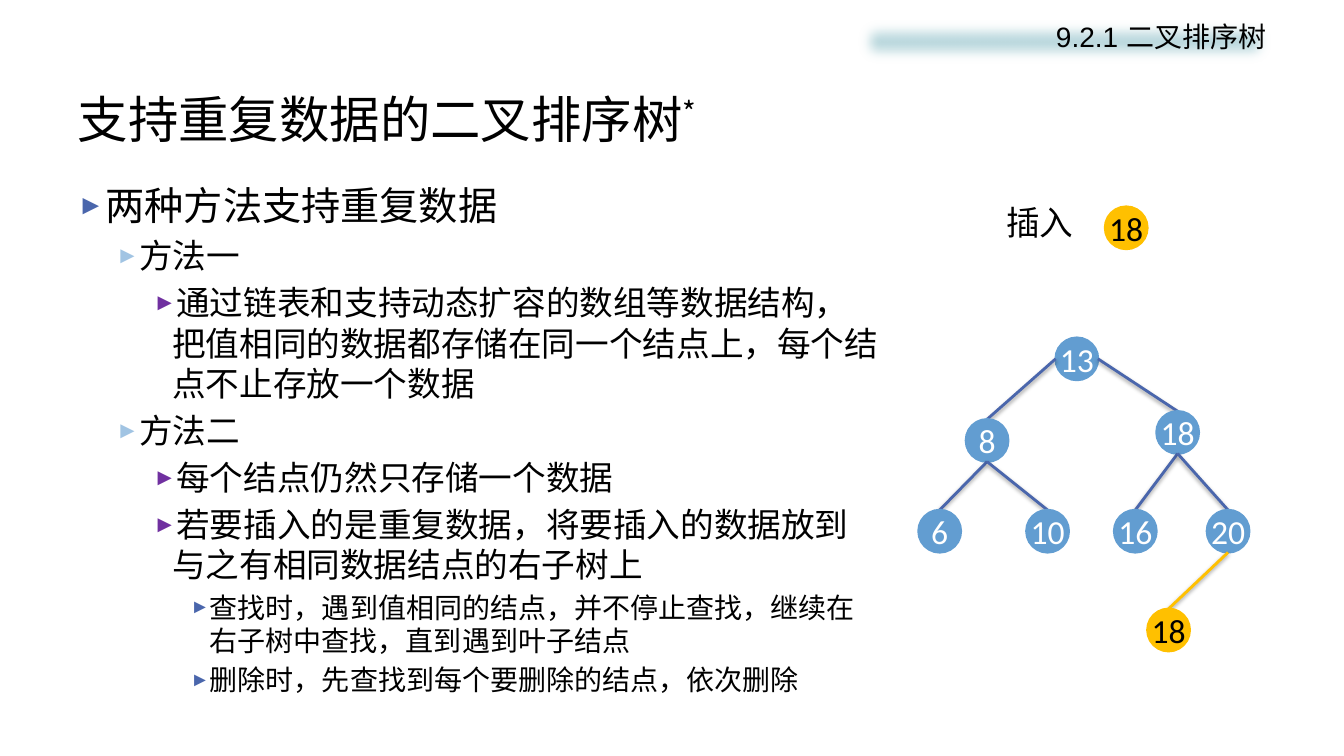
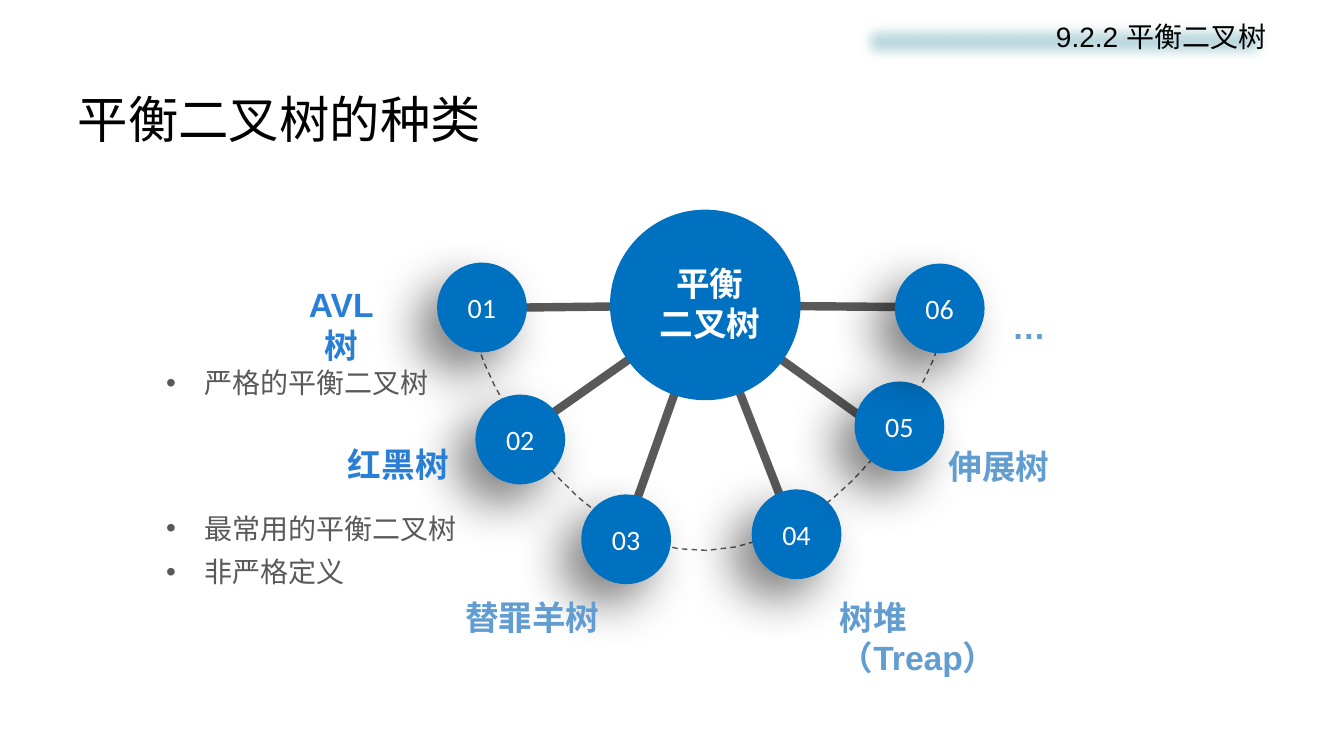
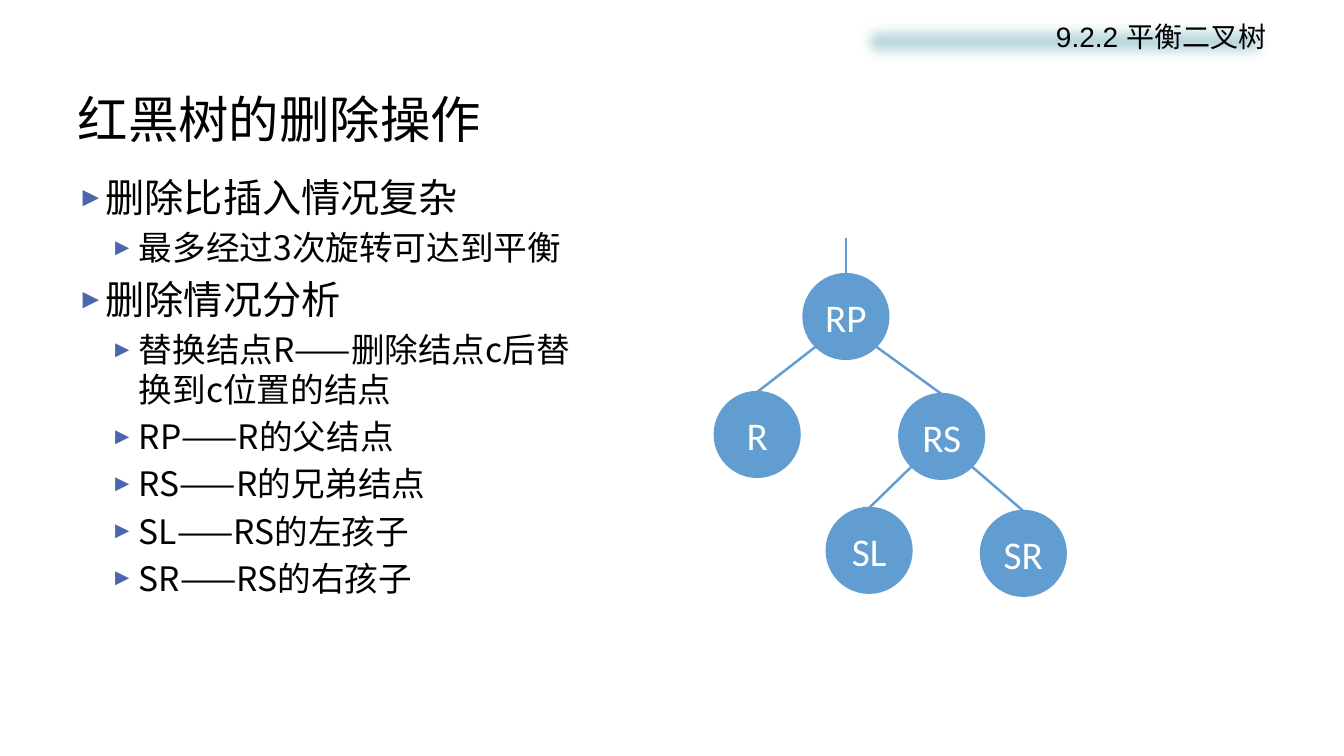
import math

import lxml.etree
import pptx
import pptx.dml.color
import pptx.enum.dml
import pptx.enum.shapes
import pptx.enum.text
import pptx.oxml.ns
import pptx.util

Inches, Pt = pptx.util.Inches, pptx.util.Pt
ALIGN = pptx.enum.text.PP_ALIGN
ANCHOR = pptx.enum.text.MSO_ANCHOR
SHAPE = pptx.enum.shapes.MSO_SHAPE
qn = pptx.oxml.ns.qn

HEX = {
    "ink": "000000", "white": "FFFFFF", "band": "BDDADF", "edge": "4A66AC",
    "node": "629DD1", "pale": "A1C4E3", "plum": "7030A0", "gold": "FFC000",
    "hub": "0070C0", "grey": "595959", "link": "297FD5",
}
SANS, CJK, ROUND = "Arial", "Noto Sans CJK SC", "Calibri"

# Shadows: alpha in percent, blur and distance in points, angle in degrees
SOFT = (38, 3.1, 1.6, 90)
DEEP = (50, 35, 20, 135)

# Outline levels: left indent, hang, text size, bullet colour
FOUR = [(0.28, 0.28, 28, "edge"), (0.61, 0.23, 24, "pale"),
        (0.94, 0.19, 24, "plum"), (1.31, 0.19, 20, "edge")]
TWO = [(0.28, 0.28, 28, "edge"), (0.61, 0.28, 24, "edge")]


# --- Basic parts ---

def rgb(name):
    return pptx.dml.color.RGBColor.from_string(HEX[name])


def add(parent, tag, **attrs):
    item = lxml.etree.SubElement(parent, qn(tag))
    for key, value in attrs.items():
        item.set(key, str(value))
    return item


def effects(shape):
    props = shape._element.spPr
    found = props.find(qn("a:effectLst"))
    return add(props, "a:effectLst") if found is None else found


def shade(shape, shadow):
    alpha, blur, dist, angle = shadow
    item = add(effects(shape), "a:outerShdw", blurRad=int(Pt(blur)),
               dist=int(Pt(dist)), dir=angle * 60000, rotWithShape=0)
    colour = add(item, "a:srgbClr", val=HEX["ink"])
    add(colour, "a:alpha", val=alpha * 1000)


def style(para, size, colour, face, bold=False, align=ALIGN.LEFT):
    para.alignment = align
    font = para.font
    font.size, font.name, font.bold = Pt(size), face, bold
    font.color.rgb = rgb(colour)
    add(para._p.pPr.find(qn("a:defRPr")), "a:ea", typeface=CJK)


def bullet(para, mark, left, hang, colour, scale):
    props = para._p.get_or_add_pPr()
    props.set("marL", str(int(Inches(left))))
    props.set("indent", str(int(-Inches(hang))))
    add(add(props, "a:buClr"), "a:srgbClr", val=HEX[colour])
    add(props, "a:buSzPct", val=scale * 1000)
    add(props, "a:buFont", typeface=SANS)
    add(props, "a:buChar", char=mark)


def lines(frame, texts):
    """Yield one paragraph per text."""
    for i, text in enumerate(texts):
        para = frame.add_paragraph() if i else frame.paragraphs[0]
        para.text = text
        yield para


def textbox(slide, box):
    frame = slide.shapes.add_textbox(*map(Inches, box)).text_frame
    frame.word_wrap = True
    return frame


def label(slide, box, texts, colour, face=SANS, bold=True, align=ALIGN.LEFT):
    for para in lines(textbox(slide, box), texts):
        style(para, 24, colour, face, bold, align)


def solid(slide, kind, box, fill, line=None):
    shape = slide.shapes.add_shape(kind, *map(Inches, box))
    shape.shadow.inherit = False
    shape.fill.solid()
    shape.fill.fore_color.rgb = rgb(fill)
    if line:
        shape.line.color.rgb = rgb(fill)
        shape.line.width = Pt(line)
    else:
        shape.line.fill.background()
    return shape


def disc(slide, x, y, size, text, font, fill="node", ink="white", line=1.75):
    box = (x - size / 2, y - size / 2, size, size)
    shape = solid(slide, SHAPE.OVAL, box, fill, line)
    frame = shape.text_frame
    frame.word_wrap = False
    frame.vertical_anchor = ANCHOR.MIDDLE
    frame.text = text
    style(frame.paragraphs[0], font, ink, ROUND, align=ALIGN.CENTER)
    return shape


def link(slide, start, end, colour, width, shadow=None):
    line = slide.shapes.add_connector(
        pptx.enum.shapes.MSO_CONNECTOR.STRAIGHT, *map(Inches, (*start, *end)))
    line.line.color.rgb = rgb(colour)
    line.line.width = Pt(width)
    effects(line)
    if shadow:
        shade(line, shadow)


# --- Regions ---

def page(deck, section, title):
    """New slide with the section band and the title."""
    slide = deck.slides.add_slide(deck.slide_layouts[5])
    head = slide.shapes.title
    head.left, head.top, head.width, head.height = map(
        Inches, (0.67, 0.8, 12, 0.75))
    head.text_frame.vertical_anchor = ANCHOR.MIDDLE
    head.text_frame.text = title
    style(head.text_frame.paragraphs[0], 36, "ink", CJK)

    band = solid(slide, SHAPE.RECTANGLE, (8.46, 0.14, 4.2, 0.54), "band")
    add(effects(band), "a:softEdge", rad=int(Pt(10)))
    frame = band.text_frame
    frame.vertical_anchor = ANCHOR.TOP
    frame.text = section
    style(frame.paragraphs[0], 20, "ink", SANS, align=ALIGN.RIGHT)
    return slide


def outline(slide, box, levels, rows):
    """Bulleted text; each row is (level, text)."""
    paras = lines(textbox(slide, box), [text for _, text in rows])
    for i, (para, (level, _)) in enumerate(zip(paras, rows)):
        left, hang, size, colour = levels[level]
        bullet(para, "►", left, hang, colour, 70)
        if i:
            para.space_before = Pt(size * 0.2)
        style(para, size, "ink", CJK)


def notes(slide, box, texts):
    for para in lines(textbox(slide, box), texts):
        bullet(para, "•", 0.38, 0.38, "grey", 100)
        para.line_spacing = 1.3
        style(para, 20, "grey", SANS)


def tree(slide, origin, size, font, nodes, edge, width, shadow=None):
    """Nodes are (text, x, y, parent index, exit angle, is new)."""
    left, top = origin
    spots = [(left + x, top + y) for _, x, y, *_ in nodes]
    for (text, _, _, parent, angle, new), (x, y) in zip(nodes, spots):
        if parent is not None:
            px, py = spots[parent]
            turn = math.radians(angle)
            start = (px + size / 2 * math.cos(turn),
                     py + size / 2 * math.sin(turn))
            link(slide, start, (x, y - size / 2),
                 "gold" if new else edge, width, shadow)
        disc(slide, x, y, size, text, font,
             *(("gold", "ink") if new else ("node", "white")))


def curve(points, steps=16):
    """Points along a chain of cubic curves."""
    for i in range(0, len(points) - 1, 3):
        part = points[i:i + 4]
        for step in range(1, steps + 1):
            t = step / steps
            mix = [math.comb(3, k) * t ** k * (1 - t) ** (3 - k)
                   for k in range(4)]
            yield tuple(sum(m * p[axis] for m, p in zip(mix, part))
                        for axis in (0, 1))


def wheel(slide, origin, nodes):
    """Hub with spokes; nodes are (x, y, spoke end x, spoke end y)."""
    left, top = origin

    def at(x, y):
        return left + x, top + y

    # Dashed arc
    arc = [at(*p) for p in (
        (0.42, 0.96), (0.77, 0.97), (4.65, 0.91), (5.04, 1.02),
        (5.11, 1.32), (4.23, 3.32), (2.68, 3.38),
        (1.13, 3.45), (0.07, 0.95), (0.42, 0.96))]
    pen = slide.shapes.build_freeform(*map(Inches, arc[0]))
    pen.add_line_segments([tuple(map(Inches, p)) for p in curve(arc)])
    ring = pen.convert_to_shape()
    ring.shadow.inherit = False
    ring.fill.background()
    ring.line.color.rgb = rgb("grey")
    ring.line.width = Pt(1)
    ring.line.dash_style = pptx.enum.dml.MSO_LINE.DASH

    # Spokes, numbered discs, hub
    for _, _, x, y in nodes:
        link(slide, at(x, y), at(2.67, 0.95), "grey", 6)
    for i in (1, 2, 3, 4, 5, 0):
        x, y = at(*nodes[i][:2])
        shape = disc(slide, x, y, 0.89, f"{i + 1:02}", 20, "hub", line=None)
        shade(shape, DEEP)
    solid(slide, SHAPE.OVAL, (*at(1.72, 0), 1.89, 1.89), "hub")
    label(slide, (*at(2.07, 0.48), 1.28, 0.91), ["平衡", "二叉树"],
          "white", CJK, align=ALIGN.CENTER)


# --- Slides ---

def repeat(deck):
    slide = page(deck, "9.2.1 二叉排序树", "支持重复数据的二叉排序树")
    star = slide.shapes.title.text_frame.paragraphs[0].add_run()
    star.text = "*"
    star.font._element.set("baseline", "30000")
    outline(slide, (0.67, 1.75, 8.15, 5.59), FOUR, [
        (0, "两种方法支持重复数据"),
        (1, "方法一"),
        (2, "通过链表和支持动态扩容的数组等数据结构，把值相同的数据都存储在同一个结点上，每个结点不止存放一个数据"),
        (1, "方法二"),
        (2, "每个结点仍然只存储一个数据"),
        (2, "若要插入的是重复数据，将要插入的数据放到与之有相同数据结点的右子树上"),
        (3, "查找时，遇到值相同的结点，并不停止查找，继续在右子树中查找，直到遇到叶子结点"),
        (3, "删除时，先查找到每个要删除的结点，依次删除"),
    ])
    label(slide, (9.88, 1.95, 0.88, 0.5), ["插入"], "ink", bold=False)
    disc(slide, 11.17, 2.26, 0.42, "18", 24, "gold", "ink")
    tree(slide, (9.11, 3.35), 0.42, 24, [
        ("13", 1.57, 0.21, None, 0, False),
        ("8", 0.68, 1.02, 0, 180, False),
        ("18", 2.57, 0.94, 0, 0, False),
        ("6", 0.21, 1.92, 1, 90, False),
        ("10", 1.28, 1.92, 1, 90, False),
        ("16", 2.15, 1.92, 2, 90, False),
        ("20", 3.07, 1.92, 2, 90, False),
        ("18", 2.48, 2.9, 6, 90, True),
    ], "edge", 2, SOFT)


def kinds(deck):
    slide = page(deck, "9.2.2 平衡二叉树", "平衡二叉树的种类")
    wheel(slide, (4.33, 2.08), [
        (0.45, 0.97, 0.09, 0.98), (0.83, 2.28, 0.65, 2.37),
        (1.88, 3.27, 1.82, 3.35), (3.57, 3.22, 3.57, 3.26),
        (4.59, 2.15, 4.65, 2.37), (4.99, 0.98, 5.18, 0.97)])
    for box, text, colour, align in (
            ((2.86, 2.77, 1.05, 0.5), "AVL树", "link", ALIGN.CENTER),
            ((3.34, 4.35, 1.22, 0.5), "红黑树", "link", ALIGN.CENTER),
            ((4.5, 5.87, 1.56, 0.5), "替罪羊树", "node", ALIGN.CENTER),
            ((8.23, 5.87, 2.3, 0.5), "树堆（Treap）", "node", ALIGN.LEFT),
            ((9.31, 4.37, 1.22, 0.5), "伸展树", "node", ALIGN.LEFT),
            ((9.94, 2.99, 0.54, 0.5), "…", "node", ALIGN.LEFT)):
        label(slide, box, [text], colour, align=align)
    notes(slide, (1.55, 3.48, 2.89, 0.54), ["严格的平衡二叉树"])
    notes(slide, (1.55, 4.92, 3.1, 0.98), ["最常用的平衡二叉树", "非严格定义"])


def remove(deck):
    slide = page(deck, "9.2.2 平衡二叉树", "红黑树的删除操作")
    outline(slide, (0.67, 1.67, 5.27, 4.54), TWO, [
        (0, "删除比插入情况复杂"),
        (1, "最多经过3次旋转可达到平衡"),
        (0, "删除情况分析"),
        (1, "替换结点R——删除结点c后替换到c位置的结点"),
        (1, "RP——R的父结点"),
        (1, "RS——R的兄弟结点"),
        (1, "SL——RS的左孩子"),
        (1, "SR——RS的右孩子"),
    ])
    link(slide, (8.39, 2.36), (8.39, 2.72), "node", 1.75)
    tree(slide, (7.09, 2.72), 0.84, 28, [
        ("RP", 1.3, 0.42, None, 0, False),
        ("R", 0.42, 1.59, 0, 135, False),
        ("RS", 2.25, 1.61, 0, 45, False),
        ("SL", 1.53, 2.74, 2, 135, False),
        ("SR", 3.06, 2.77, 2, 45, False),
    ], "node", 1.75)


def main():
    deck = pptx.Presentation()
    deck.slide_width, deck.slide_height = Inches(13.33), Inches(7.5)
    for build in (repeat, kinds, remove):
        build(deck)
    deck.save("out.pptx")


if __name__ == "__main__":
    main()
